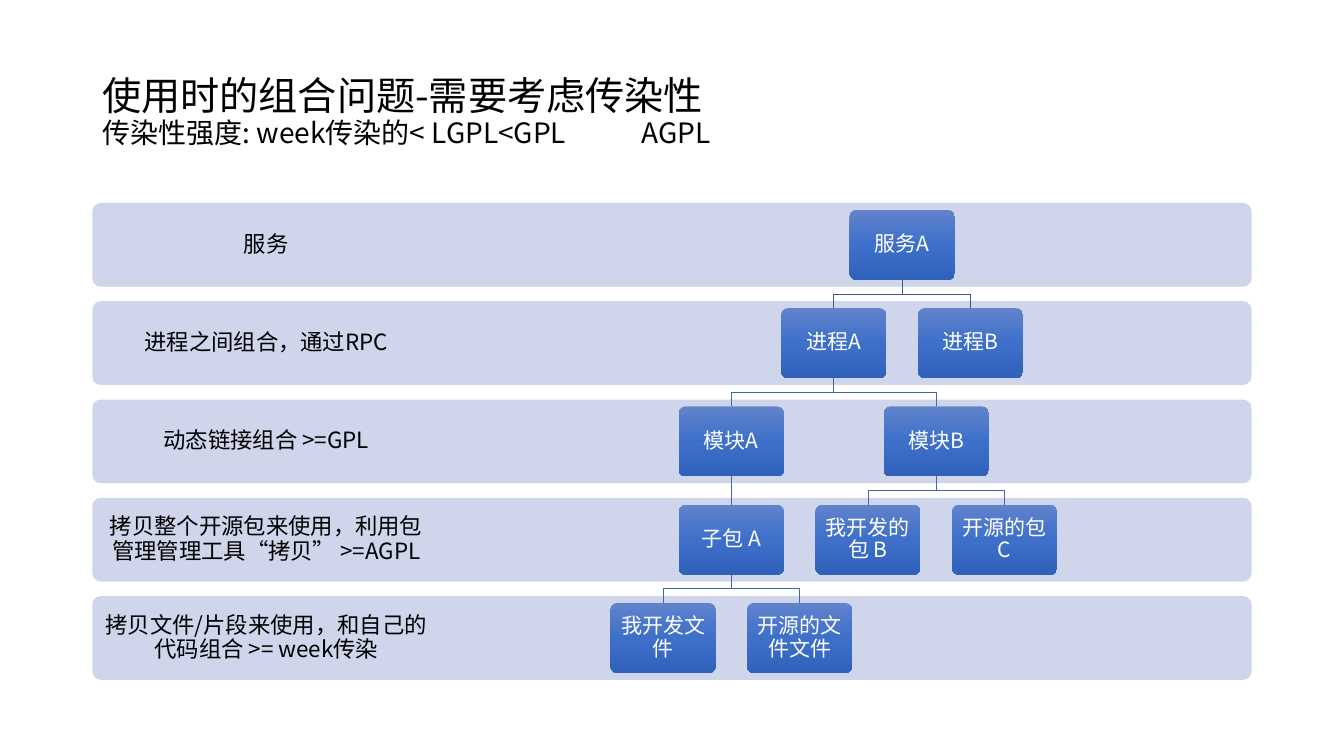
import copy

import lxml.etree
import pptx
import pptx.dml.color
import pptx.enum.shapes
import pptx.enum.text
import pptx.oxml.ns
import pptx.util

Pt = pptx.util.Pt
SHAPES = pptx.enum.shapes.MSO_SHAPE
ALIGN = pptx.enum.text.PP_ALIGN
qn = pptx.oxml.ns.qn

FONT = "Noto Sans CJK SC"
COLORS = {
    "text": "000000",
    "node_text": "FFFFFF",
    "band": "CFD5EA",
    "node_top": "6183CB",
    "node_middle": "3E70CA",
    "node_bottom": "3062BB",
    "first_link": "365B9D",
    "link": "3E67B2",
}

# Layout rules, in points
BAND_LEFT, BAND_TOP, BAND_WIDTH, BAND_HEIGHT = 66, 145, 828, 59.8
LABEL_WIDTH = 248.4
ROW_STEP = 70.2
NODE_WIDTH, NODE_HEIGHT = 75.2, 50.1
NODE_OFFSET = (BAND_HEIGHT - NODE_HEIGHT) / 2
FIRST_CENTER, HALF_STEP = 473.6, 48.8

BAND_LABELS = [
    "服务",
    "进程之间组合，通过RPC",
    "动态链接组合 >=GPL",
    "拷贝整个开源包来使用，利用包管理管理工具“拷贝” >=AGPL",
    "拷贝文件/片段来使用，和自己的代码组合 >= week传染",
]

# Name: (row, column in half steps, parent)
NODES = {
    "服务A": (0, 3.5, None),
    "进程A": (1, 2.5, "服务A"),
    "进程B": (1, 4.5, "服务A"),
    "模块A": (2, 1, "进程A"),
    "模块B": (2, 4, "进程A"),
    "子包 A": (3, 1, "模块A"),
    "我开发的包 B": (3, 3, "模块B"),
    "开源的包C": (3, 5, "模块B"),
    "我开发文件": (4, 0, "子包 A"),
    "开源的文件文件": (4, 2, "子包 A"),
}


def rgb(name):
    return pptx.dml.color.RGBColor.from_string(COLORS[name])


def add_run(paragraph, text, size=16, color="text"):
    run = paragraph.add_run()
    run.text = text
    run.font.size = Pt(size)
    run.font.name = FONT
    run.font.color.rgb = rgb(color)
    east_asian = lxml.etree.SubElement(run.font._element, qn("a:ea"))
    east_asian.set("typeface", FONT)


def write_text(shape, *lines, sizes=(16,), color="text", align=ALIGN.CENTER, inset=8.6, inset_y=None):
    """Fill a shape with one paragraph whose lines have their own sizes."""
    frame = shape.text_frame
    frame.word_wrap = True
    frame.vertical_anchor = pptx.enum.text.MSO_ANCHOR.MIDDLE
    frame.margin_left = frame.margin_right = Pt(inset)
    frame.margin_top = frame.margin_bottom = Pt(inset if inset_y is None else inset_y)
    paragraph = frame.paragraphs[0]
    paragraph.alignment = align
    paragraph.line_spacing = 0.9
    for index, (line, size) in enumerate(zip(lines, sizes)):
        if index:
            paragraph.add_line_break()
        add_run(paragraph, line, size=size, color=color)
    return paragraph


def add_tab_stop(paragraph, position):
    tab_list = lxml.etree.SubElement(paragraph._p.get_or_add_pPr(), qn("a:tabLst"))
    tab = lxml.etree.SubElement(tab_list, qn("a:tab"))
    tab.set("pos", str(Pt(position)))
    tab.set("algn", "l")


def add_text_box(slide, left, top, width, height):
    return slide.shapes.add_textbox(Pt(left), Pt(top), Pt(width), Pt(height))


def add_rounded_box(slide, left, top, width, height):
    shape = slide.shapes.add_shape(
        SHAPES.ROUNDED_RECTANGLE, Pt(left), Pt(top), Pt(width), Pt(height))
    shape.adjustments[0] = 0.1
    shape.shadow.inherit = False
    shape.line.fill.background()
    return shape


def fill_node(shape):
    shape.fill.gradient()
    shape.fill.gradient_angle = 270
    first = shape.fill._fill._gradFill.find(qn("a:gsLst"))[0]
    first.addnext(copy.deepcopy(first))
    stops = zip(shape.fill.gradient_stops, (0, 0.5, 1), ("node_top", "node_middle", "node_bottom"))
    for stop, position, color in stops:
        stop.position = position
        stop.color.rgb = rgb(color)


def node_place(name):
    """Return the centre x and the top y of a node."""
    row, column, _ = NODES[name]
    return FIRST_CENTER + column * HALF_STEP, BAND_TOP + row * ROW_STEP + NODE_OFFSET


def add_band(slide, row, label):
    top = BAND_TOP + row * ROW_STEP
    band = add_rounded_box(slide, BAND_LEFT, top, BAND_WIDTH, BAND_HEIGHT)
    band.fill.solid()
    band.fill.fore_color.rgb = rgb("band")
    write_text(add_text_box(slide, BAND_LEFT, top, LABEL_WIDTH, BAND_HEIGHT), label)


def add_node(slide, name):
    center, top = node_place(name)
    node = add_rounded_box(slide, center - NODE_WIDTH / 2, top, NODE_WIDTH, NODE_HEIGHT)
    fill_node(node)
    write_text(node, name, sizes=(15,), color="node_text", inset=5.8)


def add_link(slide, parent, child):
    start_x, start_y = node_place(parent)
    start_y += NODE_HEIGHT
    end_x, end_y = node_place(child)
    if start_x == end_x:
        link = slide.shapes.add_connector(
            pptx.enum.shapes.MSO_CONNECTOR.STRAIGHT,
            Pt(start_x), Pt(start_y), Pt(end_x), Pt(end_y))
        lxml.etree.SubElement(link._element.spPr, qn("a:effectLst"))
    else:
        middle = Pt((start_y + end_y) / 2)
        builder = slide.shapes.build_freeform(Pt(start_x), Pt(start_y))
        builder.add_line_segments(
            [(Pt(start_x), middle), (Pt(end_x), middle), (Pt(end_x), Pt(end_y))], close=False)
        link = builder.convert_to_shape()
        link.fill.background()
        link.shadow.inherit = False
    link.line.color.rgb = rgb("first_link" if NODES[parent][0] == 0 else "link")
    link.line.width = Pt(0.5)


def main():
    presentation = pptx.Presentation()
    presentation.slide_width, presentation.slide_height = Pt(960), Pt(540)
    slide = presentation.slides.add_slide(presentation.slide_layouts[6])

    # Title
    title = write_text(
        add_text_box(slide, 66, 28.8, 828, 104.4),
        "使用时的组合问题-需要考虑传染性",
        "传染性强度: week传染的< LGPL<GPL\tAGPL",
        sizes=(28, 20), align=ALIGN.LEFT, inset=7.2, inset_y=3.6)
    add_tab_stop(title, 385)

    # Bands with their labels
    for row, label in enumerate(BAND_LABELS):
        add_band(slide, row, label)

    # Tree
    for name, (_, _, parent) in NODES.items():
        if parent:
            add_link(slide, parent, name)
        add_node(slide, name)

    presentation.save("out.pptx")


if __name__ == "__main__":
    main()
